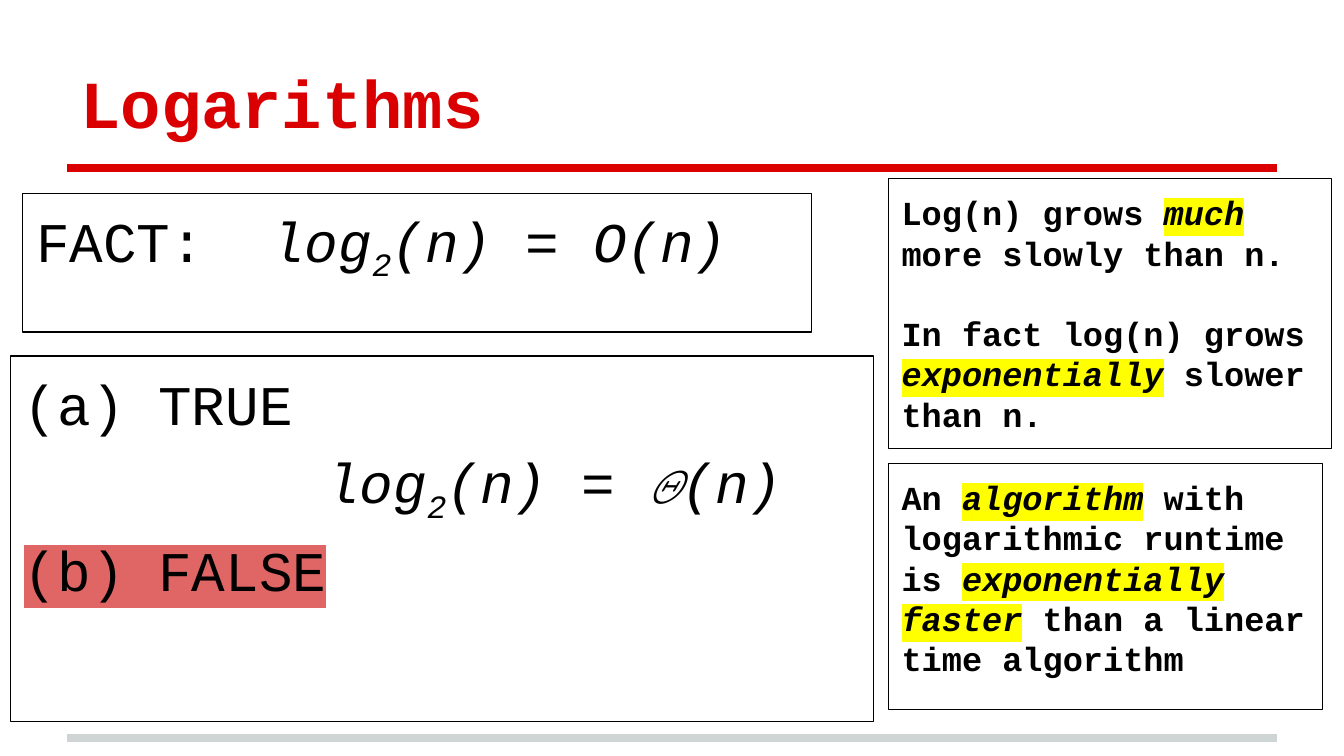
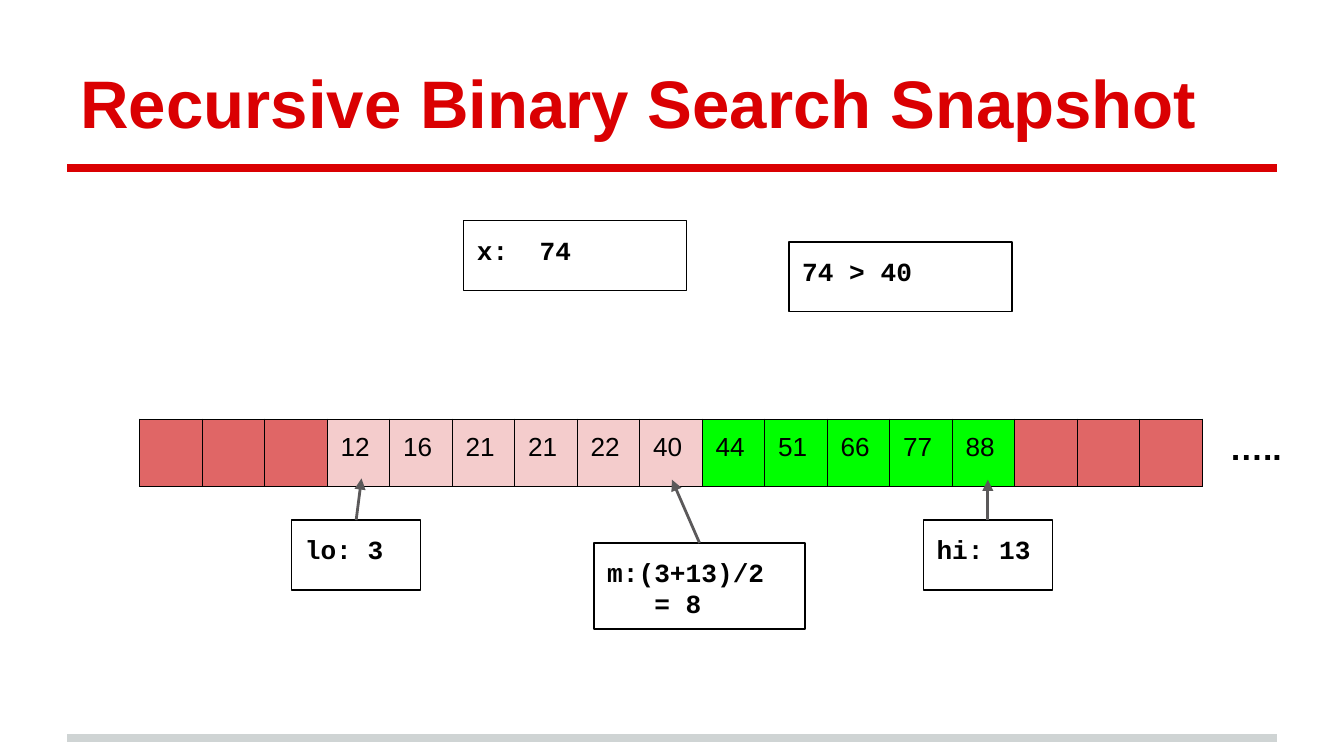
from lxml import etree
from pptx import Presentation
from pptx.dml.color import RGBColor
from pptx.enum.shapes import MSO_CONNECTOR, MSO_SHAPE
from pptx.enum.text import MSO_ANCHOR
from pptx.oxml.ns import qn
from pptx.util import Inches, Pt

RECT = MSO_SHAPE.RECTANGLE
STRAIGHT = MSO_CONNECTOR.STRAIGHT
TOP, BOTTOM = MSO_ANCHOR.TOP, MSO_ANCHOR.BOTTOM

W = 10
H = W * 9 / 16
MARGIN = 0.5
INSET = 0.1
BORDER = 0.75
MONO, SANS = "Courier New", "Arial"
C = {
    "red": "DA0002", "grey": "CFD4D4", "black": "000000", "arrow": "5B595A",
    "coral": "E06666", "pink": "F4CCCC", "green": "00FF00", "yellow": "FFFF00",
}

BODY = {"name": MONO, "size": Pt(30)}
NOTE = {"name": MONO, "size": Pt(18), "bold": True}
LABEL = {"name": MONO, "size": Pt(14), "bold": True}
VALUE = {"name": SANS, "size": Pt(14)}
DOTS = {"name": SANS, "size": Pt(18), "bold": True}
TITLE = {"size": Pt(36), "bold": True}

MARKS = {
    "plain": {},
    "italic": {"italic": True},
    "sub": {"italic": True, "baseline": "-25000"},
    "key": {"italic": True, "highlight": "yellow"},
    "answer": {"highlight": "coral"},
}


def log_equals(result):
    return [("log", "italic"), ("2", "sub"), (f"(n) = {result}(n)", "italic")]


LOG_BOXES = [
    ((0.17, 1.44, 5.87, 1.03), BODY, [
        {"runs": [("FACT:  ", "plain")] + log_equals("O")},
    ]),
    ((0.08, 2.65, 6.42, 2.72), BODY, [
        {"runs": [("(a) TRUE", "plain")]},
        {"runs": log_equals("𝛩"), "indent": 9, "before": 6},
        {"runs": [("(b) FALSE", "answer")], "before": 6},
    ]),
    ((6.61, 1.33, 3.3, 2.01), NOTE, [
        {"runs": [("Log(n) grows ", "plain"), ("much", "key"),
                  (" more slowly than n.", "plain")]},
        {"runs": [("In fact log(n) grows ", "plain"), ("exponentially", "key"),
                  (" slower than n.", "plain")], "before": 21.5},
    ]),
    ((6.61, 3.45, 3.23, 1.83), NOTE, [
        {"runs": [("An ", "plain"), ("algorithm", "key"),
                  (" with logarithmic runtime is ", "plain"),
                  ("exponentially faster", "key"),
                  (" than a linear time algorithm", "plain")]},
    ]),
]

SEARCH_BOXES = [
    ((3.45, 1.64, 1.66, 0.52), [("x:  74", 0)]),
    ((5.87, 1.8, 1.66, 0.52), [("74 > 40", 0)]),
]
POINTERS = [
    ((2.17, 3.87, 0.96, 0.52), [("lo: 3", 0)], (2.69, 3.56)),
    ((4.42, 4.04, 1.57, 0.64), [("m:(3+13)/2", 0), ("= 8", 3)], (5, 3.57)),
    ((6.87, 3.87, 0.96, 0.52), [("hi: 13", 0)], (7.35, 3.57)),
]
ARRAY = [
    ("coral", [""] * 3),
    ("pink", ["12", "16", "21", "21", "22", "40"]),
    ("green", ["44", "51", "66", "77", "88"]),
    ("coral", [""] * 3),
]
ARRAY_AT = (1.04, 3.12, 7.91, 0.42)
INSETS = {f"margin_{side}": Inches(INSET) for side in ("left", "top", "right", "bottom")}


def rgb(key):
    return RGBColor.from_string(C[key])


def set_all(obj, values):
    for key, value in values.items():
        setattr(obj, key, value)


def add_run(p, text, font, mark="plain", color="black"):
    r = p.add_run()
    r.text = text
    r.font.color.rgb = rgb(color)
    style = dict(MARKS[mark])
    highlight = style.pop("highlight", None)
    baseline = style.pop("baseline", None)
    set_all(r.font, {**font, **style})
    rPr = r._r.get_or_add_rPr()
    if baseline:
        rPr.set("baseline", baseline)
    if highlight:
        hl = etree.Element(qn("a:highlight"))
        etree.SubElement(hl, qn("a:srgbClr")).set("val", C[highlight])
        rPr.find(qn("a:solidFill")).addnext(hl)


def add_text(s, at, paragraphs, font, color="black", anchor=TOP, boxed=True):
    at = [Inches(v) for v in at]
    if boxed:
        sp = s.shapes.add_shape(RECT, *at)
        sp.shadow.inherit = False
        sp.fill.background()
        sp.line.color.rgb = rgb("black")
        sp.line.width = Pt(BORDER)
    else:
        sp = s.shapes.add_textbox(*at)
    tf = sp.text_frame
    set_all(tf, {"word_wrap": True, "vertical_anchor": anchor, **INSETS})
    for i, item in enumerate(paragraphs):
        p = tf.add_paragraph() if i else tf.paragraphs[0]
        pPr = p._p.get_or_add_pPr()
        pPr.set("algn", "l")
        if "indent" in item:
            pPr.set("marL", str(int(font["size"] * 0.6 * item["indent"])))
        if "before" in item:
            p.space_before = Pt(item["before"])
        for text, mark in item["runs"]:
            add_run(p, text, font, mark, color)


def add_label(s, at, lines):
    add_text(s, at, [{"runs": [(text, "plain")], "indent": indent}
                     for text, indent in lines], LABEL)


def add_line(s, start, end, color, width, arrow=False):
    cx = s.shapes.add_connector(STRAIGHT, *[Inches(v) for v in (*start, *end)])
    cx.line.color.rgb = rgb(color)
    cx.line.width = Pt(width)
    if arrow:
        ln = cx._element.spPr.find(qn("a:ln"))
        etree.SubElement(ln, qn("a:tailEnd")).set("type", "triangle")
    etree.SubElement(cx._element.spPr, qn("a:effectLst"))


def add_slide(prs, title, font_name):
    s = prs.slides.add_slide(prs.slide_layouts[6])
    for y, color in ((5.49, "grey"), (1.25, "red")):
        add_line(s, (MARGIN, y), (W - MARGIN, y), color, 4)
    add_text(s, (MARGIN, 0.22, W - 2 * MARGIN, 0.94), [{"runs": [(title, "plain")]}],
             {"name": font_name, **TITLE}, "red", BOTTOM, boxed=False)
    return s


def add_borders(cell):
    tcPr = cell._tc.get_or_add_tcPr()
    for i, side in enumerate("LRTB"):
        ln = etree.Element(qn(f"a:ln{side}"), w=str(Pt(BORDER)))
        fill = etree.SubElement(ln, qn("a:solidFill"))
        etree.SubElement(fill, qn("a:srgbClr")).set("val", C["black"])
        tcPr.insert(i, ln)


def add_array(s):
    cells = [(text, color) for color, texts in ARRAY for text in texts]
    n = len(cells)
    left, top, width, height = [Inches(v) for v in ARRAY_AT]
    table = s.shapes.add_table(1, n, left, top, width, height).table
    set_all(table, {"first_row": False, "horz_banding": False})
    for i, (text, color) in enumerate(cells):
        table.columns[i].width = width // n
        cell = table.cell(0, i)
        set_all(cell, INSETS)
        cell.fill.solid()
        cell.fill.fore_color.rgb = rgb(color)
        add_borders(cell)
        p = cell.text_frame.paragraphs[0]
        if text:
            add_run(p, text, VALUE)
        else:
            end = etree.SubElement(p._p, qn("a:endParaRPr"), sz="1800")
            etree.SubElement(end, qn("a:latin")).set("typeface", SANS)


def logarithms(prs):
    s = add_slide(prs, "Logarithms", MONO)
    for at, font, paragraphs in LOG_BOXES:
        add_text(s, at, paragraphs, font)


def binary_search(prs):
    s = add_slide(prs, "Recursive Binary Search Snapshot", SANS)
    add_array(s)
    for at, lines in SEARCH_BOXES:
        add_label(s, at, lines)
    for at, lines, target in POINTERS:
        add_label(s, at, lines)
        left, top, width, _ = at
        add_line(s, (left + width / 2, top), target, "arrow", 1.5, arrow=True)
    add_text(s, (9.05, 3.08, 0.72, 0.39), [{"runs": [("…..", "plain")]}], DOTS, boxed=False)


def main():
    prs = Presentation()
    prs.slide_width, prs.slide_height = Inches(W), Inches(H)
    logarithms(prs)
    binary_search(prs)
    prs.save("out.pptx")


if __name__ == "__main__":
    main()
